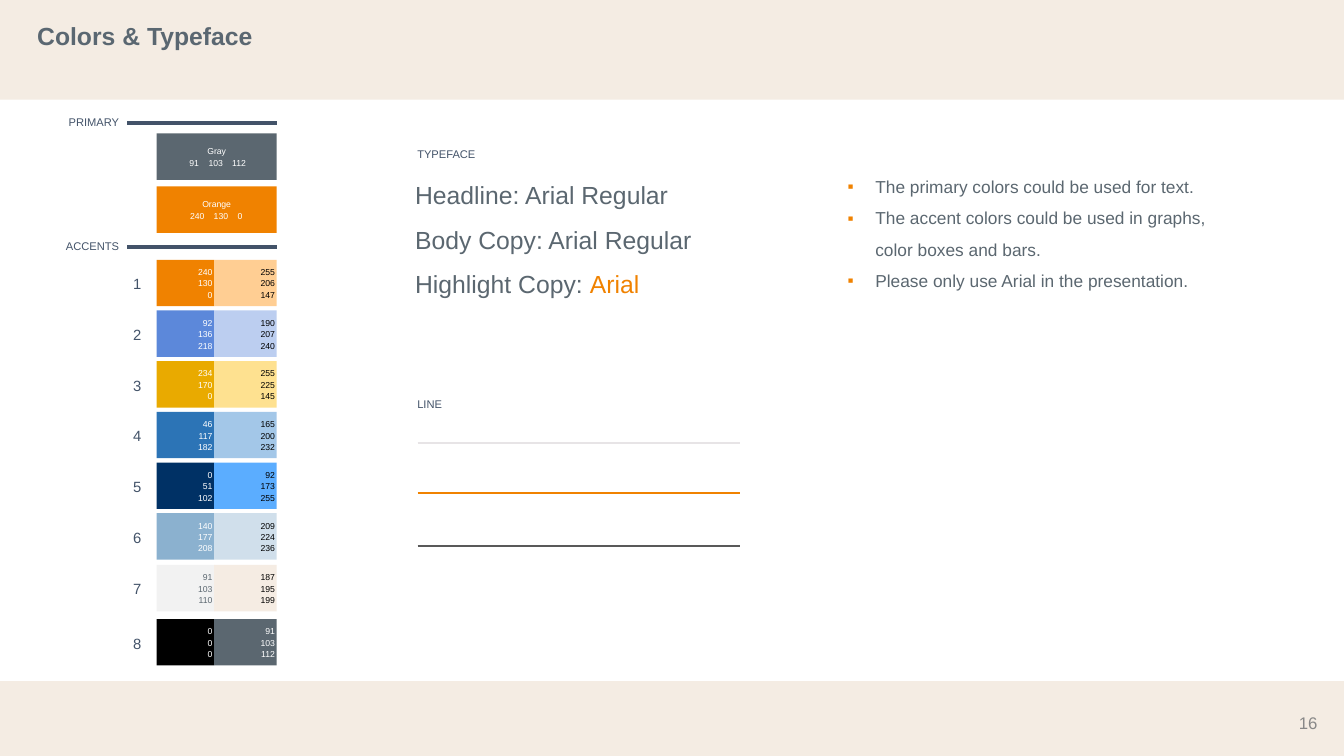
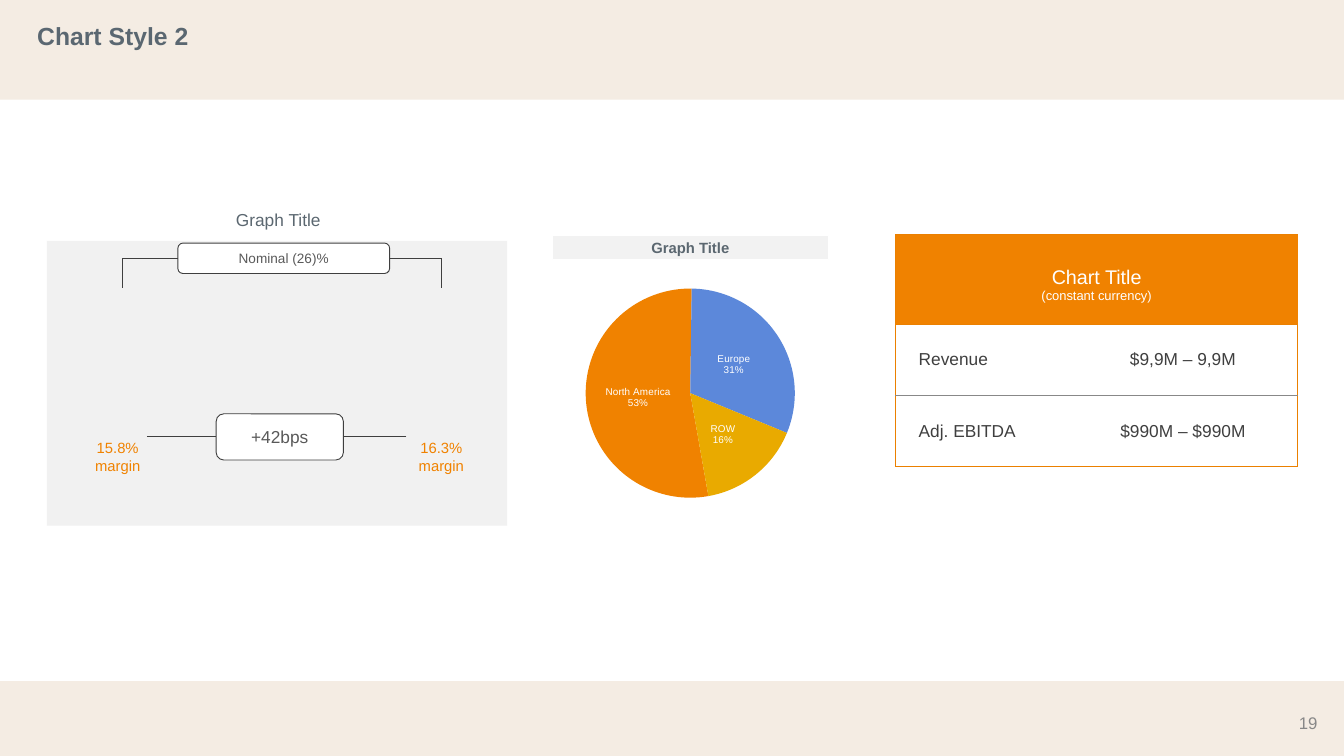
"""Build two style-guide slides: colours and typeface, and chart style."""
from lxml.etree import SubElement
from pptx import Presentation
from pptx.chart.data import CategoryChartData
from pptx.dml.color import RGBColor
from pptx.enum.chart import XL_CHART_TYPE as ChartType, XL_LABEL_POSITION as LabelPosition
from pptx.enum.shapes import MSO_CONNECTOR as Connector, MSO_SHAPE as Shape
from pptx.enum.text import MSO_ANCHOR as Anchor, PP_ALIGN as Align
from pptx.oxml import parse_xml
from pptx.oxml.ns import nsdecls, qn
from pptx.util import Pt

BAND = RGBColor(0xF4, 0xEC, 0xE3)
TITLE = RGBColor(0x5A, 0x67, 0x71)
PAGE = RGBColor(0x88, 0x88, 0x88)
GRAY = RGBColor(0x5B, 0x67, 0x70)
ORANGE = RGBColor(0xF0, 0x82, 0x00)
BLUE = RGBColor(0x5C, 0x88, 0xDA)
GOLD = RGBColor(0xE9, 0xAA, 0x00)
NAVY = RGBColor(0x43, 0x53, 0x69)
INK = RGBColor(0x3F, 0x3F, 0x3F)
DARK = RGBColor(0x59, 0x59, 0x59)
PALE = RGBColor(0xE7, 0xE4, 0xE6)
PANEL = RGBColor(0xF1, 0xF1, 0xF1)
LIGHT = RGBColor(0xF2, 0xF2, 0xF2)
WHITE = RGBColor(0xFF, 0xFF, 0xFF)
BLACK = RGBColor(0x00, 0x00, 0x00)
BORDER = RGBColor(0xEB, 0x80, 0x00)

SIDES = ("margin_left", "margin_right", "margin_top", "margin_bottom")
MIDDLE = {"vertical_anchor": Anchor.MIDDLE}
FLUSH = dict.fromkeys(SIDES, 0)
SNUG = dict.fromkeys(SIDES, Pt(3.6))
SWATCH = {**MIDDLE, "margin_left": Pt(1.44), "margin_right": Pt(1.44)}
CENTER = {"alignment": Align.CENTER}
RIGHT = {"alignment": Align.RIGHT}
LOOSE = {"line_spacing": 1.1}


def put(slide, at, lines=(), size=12, color=GRAY, shape=None, fill=None, outline=None,
        frame={}, para={}, bold=False):
    """Place a text box or a preset shape with one paragraph per line."""
    at = [Pt(value) for value in at]
    if shape is None:
        item = slide.shapes.add_textbox(*at)
    else:
        item = slide.shapes.add_shape(shape, *at)
        item.shadow.inherit = False
        item.fill.solid()
        item.fill.fore_color.rgb = fill
        if outline is None:
            item.line.fill.background()
        else:
            item.line.color.rgb = outline
            item.line.width = Pt(0.75)
    text = item.text_frame
    for name, value in {"word_wrap": True, **frame}.items():
        setattr(text, name, value)
    for index, line in enumerate(lines):
        paragraph = text.add_paragraph() if index else text.paragraphs[0]
        for name, value in {"alignment": Align.LEFT, **para}.items():
            setattr(paragraph, name, value)
        run = paragraph.add_run()
        run.text = line
        for name, value in {"name": "Arial", "size": Pt(size), "bold": bold}.items():
            setattr(run.font, name, value)
        run.font.color.rgb = color
    return item


def rule(slide, x1, y1, x2, y2, color, width):
    """Draw a straight line without a shadow."""
    line = slide.shapes.add_connector(Connector.STRAIGHT, Pt(x1), Pt(y1), Pt(x2), Pt(y2))
    line.line.color.rgb = color
    line.line.width = Pt(width)
    SubElement(line._element.spPr, qn("a:effectLst"))
    return line


deck = Presentation()
deck.slide_width, deck.slide_height = Pt(1088), Pt(612)

slides = []
for title, number in (("Colors & Typeface", "16"), ("Chart Style 2", "19")):
    slide = deck.slides.add_slide(deck.slide_layouts[6])
    for top, height in ((551.5, 60.5), (0, 80.6)):
        put(slide, (0, top, 1088, height), shape=Shape.RECTANGLE, fill=BAND)
    put(slide, (1034, 577.5, 39.6, 15), [number], 13.6, PAGE, frame=MIDDLE, para=RIGHT)
    put(slide, (23, 3.6, 938, 54), [title], 20, TITLE, frame=MIDDLE,
        para={"line_spacing": 0.9}, bold=True)
    slides.append(slide)
palette, charts = slides

for heading, top in (("PRIMARY", 92), ("ACCENTS", 192.8)):
    put(palette, (23, top, 73.4, 12.2), [heading], 9, NAVY, frame=FLUSH, para={**RIGHT, **LOOSE})
    rule(palette, 103, top + 7.3, 224, top + 7.3, NAVY, 3)

primaries = (
    ("Gray", GRAY, 108, "\t91\t103\t112", (29, 46.4, 65.2)),
    ("Orange", ORANGE, 151, "\t240\t130\t0", (31.4, 50.6, 66)),
)
for name, fill, top, levels, stops in primaries:
    swatch = put(palette, (126.8, top, 97.2, 37.6), [name, levels], 7, WHITE,
                 Shape.RECTANGLE, fill, frame=SWATCH, para={**CENTER, **LOOSE})
    values = swatch.text_frame.paragraphs[1]
    values.alignment = Align.LEFT
    tabs = SubElement(values._p.get_or_add_pPr(), qn("a:tabLst"))
    for stop in stops:
        SubElement(tabs, qn("a:tab"), pos=str(Pt(stop)), algn="ctr")

accents = (
    (ORANGE, WHITE, "240 130 0", RGBColor(0xFF, 0xCE, 0x93), BLACK, "255 206 147"),
    (BLUE, WHITE, "92 136 218", RGBColor(0xBC, 0xCE, 0xF0), BLACK, "190 207 240"),
    (GOLD, WHITE, "234 170 0", RGBColor(0xFE, 0xE1, 0x90), BLACK, "255 225 145"),
    (RGBColor(0x2C, 0x74, 0xB6), WHITE, "46 117 182",
     RGBColor(0xA3, 0xC7, 0xE8), BLACK, "165 200 232"),
    (RGBColor(0x00, 0x31, 0x65), WHITE, "0 51 102",
     RGBColor(0x5B, 0xAD, 0xFF), BLACK, "92 173 255"),
    (RGBColor(0x8B, 0xB1, 0xCF), WHITE, "140 177 208",
     RGBColor(0xD0, 0xDF, 0xEB), BLACK, "209 224 236"),
    (LIGHT, GRAY, "91 103 110", RGBColor(0xF5, 0xEC, 0xE3), BLACK, "187 195 199"),
    (BLACK, WHITE, "0 0 0", GRAY, WHITE, "91 103 112"),
)
accent_tops = [210.3 + 41.04 * row for row in range(6)] + [457.3, 501.2]
for row, (accent, top) in enumerate(zip(accents, accent_tops), 1):
    put(palette, (103, top + 10.8, 11.5, 15.8), [str(row)], 12, NAVY,
        frame={**FLUSH, **MIDDLE}, para={**RIGHT, **LOOSE})
    for left, width, (fill, ink, levels) in ((126.8, 46.6, accent[:3]), (173.4, 50.6, accent[3:])):
        put(palette, (left, top, width, 37.6), levels.split(), 7, ink, Shape.RECTANGLE, fill,
            frame=SWATCH, para={**RIGHT, **LOOSE})

for heading, top in (("TYPEFACE", 118), ("LINE", 320.4)):
    put(palette, (337.8, top, 73.4, 12.2), [heading], 9, NAVY, frame=FLUSH, para=LOOSE)
for y, color in ((358.5, PALE), (399.2, ORANGE), (442, DARK)):
    rule(palette, 338, y, 599, y, color, 1.5)

samples = put(palette, (329, 130.3, 273.6, 111.6),
              ["Headline: Arial Regular", "Body Copy: Arial Regular", "Highlight Copy: "],
              20, para={"line_spacing": 1.5})
highlight = samples.text_frame.paragraphs[2].add_run()
highlight.text = "Arial"
for name, value in {"name": "Arial", "size": Pt(20)}.items():
    setattr(highlight.font, name, value)
highlight.font.color.rgb = ORANGE

advice = put(palette, (679, 131, 314, 134.6),
             ["The primary colors could be used for text.",
              "The accent colors could be used in graphs, color boxes and bars.",
              "Please only use Arial in the presentation."], 14, para={"line_spacing": 1.5})
for paragraph in advice.text_frame.paragraphs:
    props = paragraph._p.get_or_add_pPr()
    props.set("marL", str(Pt(22.5)))
    props.set("indent", str(Pt(-22.5)))
    SubElement(SubElement(props, qn("a:buClr")), qn("a:srgbClr"), val=str(ORANGE))
    SubElement(props, qn("a:buFont"), typeface="Arial")
    SubElement(props, qn("a:buChar"), char="▪")

put(charts, (38, 195, 372.5, 230.5), shape=Shape.RECTANGLE, fill=PANEL)
put(charts, (23, 165.6, 404.6, 24.5), ["Graph Title"], 14, para=CENTER)
for left, share in ((62, "15.8%"), (324, "16.3%")):
    put(charts, (left, 351.4, 66.6, 36.7), [share, "margin"], 12, ORANGE, frame=SNUG, para=CENTER)

callouts = (
    ("+42bps", 14, (175, 335, 103, 37.4), 118.8, 329),
    ("Nominal (26)%", 11, (144, 196.8, 171.4, 24.6), 98.8, 357.3),
)
for label, size, (left, top, width, height), start, end in callouts:
    callout = put(charts, (left, top, width, height), [label], size, DARK,
                  Shape.ROUNDED_RECTANGLE, WHITE, INK, {**SNUG, **MIDDLE}, CENTER)
    y = top + height / 2
    for outer, inner, site in ((start, left, 1), (end, left + width, 3)):
        rule(charts, outer, y, inner, y, INK, 0.75).end_connect(callout, site)
for x in callouts[1][3:]:
    rule(charts, x, 209.1, x, 232.8, INK, 0.75)

put(charts, (447.4, 190.4, 223, 19.8), ["Graph Title"], 12, GRAY, Shape.RECTANGLE, LIGHT, WHITE,
    {**FLUSH, **MIDDLE}, CENTER, True)

regions = CategoryChartData()
regions.categories = ["North America", "Europe", "ROW"]
regions.add_series("Series 1", (53, 31, 16))
pie = charts.shapes.add_chart(ChartType.PIE, Pt(458), Pt(224), Pt(201.6), Pt(188.6), regions).chart
pie.has_title = pie.has_legend = False
pie.font.name, pie.font.size = "Arial", Pt(8)
pie.font.color.rgb = WHITE
plot = pie.plots[0]
plot.vary_by_categories = True
shares = plot.series[0]
for index, color in enumerate((ORANGE, BLUE, GOLD)):
    look = shares.points[index].format
    look.fill.solid()
    look.fill.fore_color.rgb = color
    look.line.fill.background()
labels = shares.data_labels
label_format = {"show_category_name": True, "show_percentage": True, "show_value": False,
                "number_format": "0%", "number_format_is_linked": False,
                "position": LabelPosition.CENTER}
for name, value in label_format.items():
    setattr(labels, name, value)
labels.font.name, labels.font.size = "Arial", Pt(8)
labels.font.color.rgb = WHITE
separator = parse_xml(f"<c:separator {nsdecls('c')}>\n</c:separator>")
labels._element.find(qn("c:showBubbleSize")).addnext(separator)
pie_xml = plot._element
angle = pie_xml.find(qn("c:firstSliceAng"))
if angle is None:
    angle = SubElement(pie_xml, qn("c:firstSliceAng"))
angle.set("val", "170")
plot_area = pie_xml.getparent()
for old in plot_area.findall(qn("c:layout")):
    plot_area.remove(old)
plot_area.insert(0, parse_xml(
    f"<c:layout {nsdecls('c')}><c:manualLayout><c:layoutTarget val='inner'/>"
    "<c:xMode val='edge'/><c:yMode val='edge'/><c:x val='0.08'/><c:y val='0.05'/>"
    "<c:w val='0.84'/><c:h val='0.9'/></c:manualLayout></c:layout>"))

guidance = charts.shapes.add_table(3, 2, Pt(725), Pt(190), Pt(325.6), Pt(187.8)).table
guidance.first_row = guidance.horz_banding = False
for column, width in zip(guidance.columns, (139.8, 185.8)):
    column.width = Pt(width)
for row, height in zip(guidance.rows, (72.6, 57.6, 57.6)):
    row.height = Pt(height)
guidance.cell(0, 0).merge(guidance.cell(0, 1))

cell_lines = (
    ((("Chart Title", 16), ("(constant currency)", 10.5)), ()),
    ((("Revenue", 14),), (("$9,9M – 9,9M", 14),)),
    ((("Adj. EBITDA", 14),), (("$990M – $990M", 14),)),
)
for r, row_lines in enumerate(cell_lines):
    for c, lines in enumerate(row_lines):
        cell = guidance.cell(r, c)
        props = cell._tc.get_or_add_tcPr()
        edges = {"L": None if c else BORDER, "R": BORDER if c else None,
                 "T": PAGE if r == 2 else BORDER, "B": PAGE if r == 1 else BORDER}
        for side, color in edges.items():
            edge = SubElement(props, qn(f"a:ln{side}"), w=str(Pt(1)))
            if color is None:
                SubElement(edge, qn("a:noFill"))
            else:
                SubElement(SubElement(edge, qn("a:solidFill")), qn("a:srgbClr"), val=str(color))
        cell.fill.solid()
        cell.fill.fore_color.rgb = WHITE if r else ORANGE
        margins = {**MIDDLE, "margin_left": Pt(18.7 if r and not c else 7.2),
                   "margin_right": Pt(7.2), "margin_top": Pt(0 if r else 9.2), "margin_bottom": 0}
        for name, value in margins.items():
            setattr(cell, name, value)
        for index, (line, size) in enumerate(lines):
            text = cell.text_frame
            paragraph = text.add_paragraph() if index else text.paragraphs[0]
            paragraph.alignment = Align.LEFT if r and not c else Align.CENTER
            run = paragraph.add_run()
            run.text = line
            run.font.name, run.font.size = "Arial", Pt(size)
            run.font.color.rgb = INK if r else WHITE

deck.save("out.pptx")
